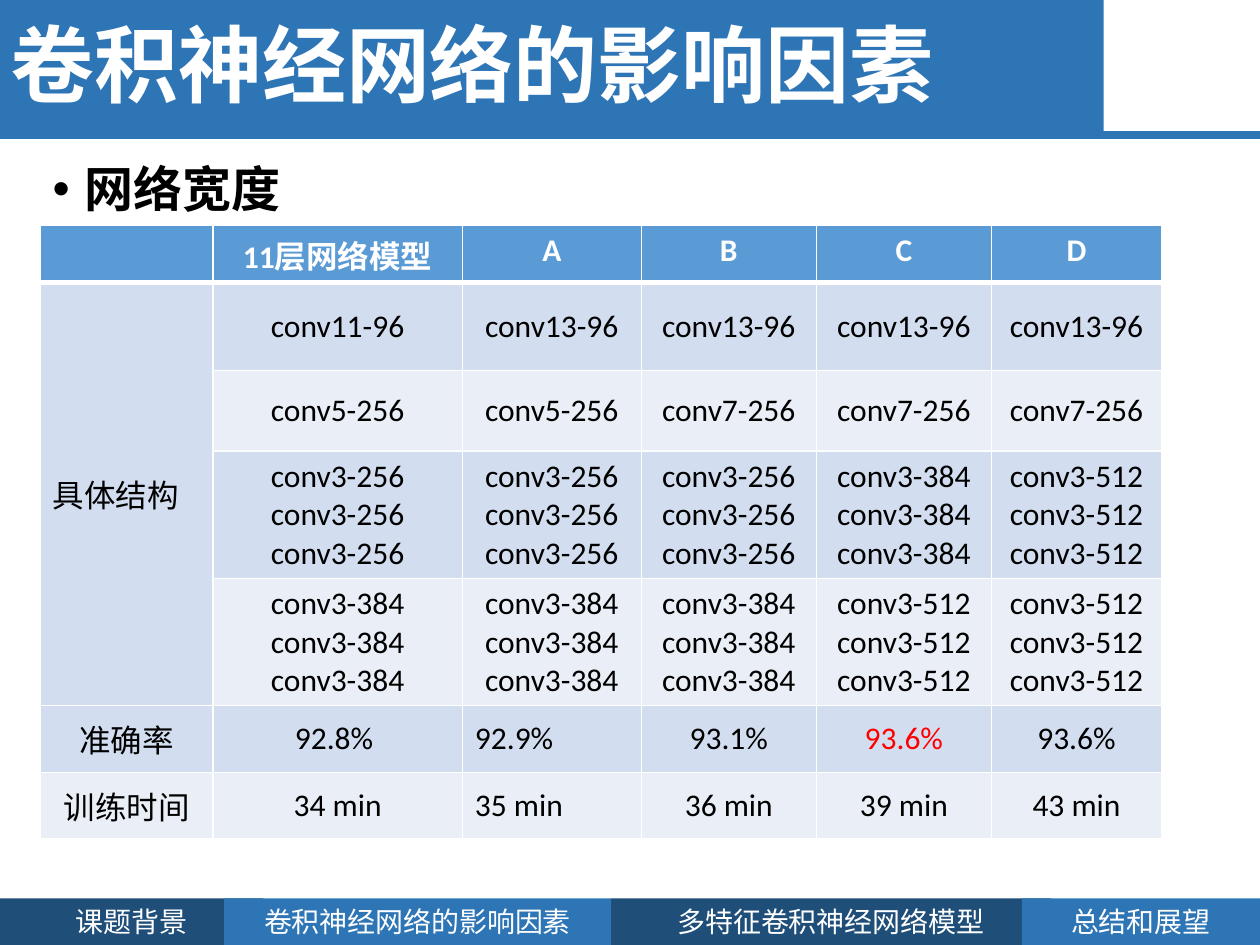
import pptx
import pptx.dml.color
import pptx.enum.shapes
import pptx.enum.text
import pptx.util
from lxml import etree
from pptx.oxml.ns import qn

COLORS = {
    "white": "FFFFFF",
    "black": "000000",
    "red": "FF0000",
    "blue": "2E75B6",
    "navy": "1F4E79",
    "header": "5B9BD5",
    "band": "D2DEEF",
    "pale": "EAEFF7",
}
ALIGN = pptx.enum.text.PP_ALIGN
ANCHOR = pptx.enum.text.MSO_ANCHOR
GRID_COLUMNS, GRID_ROWS = 100, 75


def color(name):
    return pptx.dml.color.RGBColor.from_string(COLORS[name])


class SlideBuilder:
    """Draws on a grid of 100 columns by 75 rows."""

    latin, serif = "Calibri", "Times New Roman"

    def __init__(self, deck):
        self.column = deck.slide_width / GRID_COLUMNS
        self.row = deck.slide_height / GRID_ROWS
        self.page = deck.slides.add_slide(deck.slide_layouts[5])
        self.shapes = self.page.shapes

    def place(self, left, top, width, height):
        return (round(left * self.column), round(top * self.row),
                round(width * self.column), round(height * self.row))

    def paint(self, shape, fill):
        shape.fill.solid()
        shape.fill.fore_color.rgb = color(fill)

    def add_span(self, para, text, size, ink, font, bold=False, align=None):
        para.alignment = align
        span = para.add_run()
        span.text = text
        span.font.size = pptx.util.Pt(size)
        span.font.name = font
        span.font.bold = bold
        span.font.color.rgb = color(ink)

    def title(self, text, area):
        box = self.shapes.title
        box.left, box.top, box.width, box.height = self.place(*area)
        self.paint(box, "blue")
        frame = box.text_frame
        frame.vertical_anchor = ANCHOR.MIDDLE
        frame.auto_size = pptx.enum.text.MSO_AUTO_SIZE.NONE
        frame.paragraphs[0].line_spacing = 0.9
        self.add_span(frame.paragraphs[0], text, 48, "white", self.serif, True, ALIGN.LEFT)

    def tab(self, text, area, fill):
        box = self.shapes.add_shape(pptx.enum.shapes.MSO_SHAPE.RECTANGLE, *self.place(*area))
        box.shadow.inherit = False
        self.paint(box, fill)
        box.line.fill.background()
        box.text_frame.word_wrap = True
        self.add_span(box.text_frame.paragraphs[0], text, 16, "white", self.serif,
                      align=ALIGN.CENTER)

    def rule(self, left, right, height):
        x, y, width, _ = self.place(left, height, right - left, 0)
        line = self.shapes.add_connector(
            pptx.enum.shapes.MSO_CONNECTOR.STRAIGHT, x, y, x + width, y)
        line.line.color.rgb = color("blue")
        line.line.width = pptx.util.Pt(4.5)
        etree.SubElement(line._element.spPr, qn("a:effectLst"))

    def bullet(self, text, area):
        frame = self.shapes.add_textbox(*self.place(*area)).text_frame
        frame.word_wrap = True
        para = frame.paragraphs[0]
        para.line_spacing = 0.9
        para.space_before = pptx.util.Pt(10)
        self.add_span(para, text, 28, "black", self.latin, True)
        properties = para._p.get_or_add_pPr()
        indent = pptx.util.Inches(0.25)
        properties.set("marL", str(indent))
        properties.set("indent", str(-indent))
        etree.SubElement(properties, qn("a:buFont"), typeface="Arial")
        etree.SubElement(properties, qn("a:buChar"), char="•")

    def table(self, rows, left, top, widths, heights):
        area = self.place(left, top, sum(widths), sum(heights))
        grid = self.shapes.add_table(len(rows), len(widths), *area).table
        for column, width in zip(grid.columns, widths):
            column.width = round(width * self.column)
        for row, height in zip(grid.rows, heights):
            row.height = round(height * self.row)
        for r, row in enumerate(rows):
            fill = "header" if r == 0 else ("pale", "band")[r % 2]
            for c, text in enumerate(row):
                self.cell(grid.cell(r, c), r, c, text, fill)
        return grid

    def cell(self, cell, r, c, text, fill):
        self.borders(cell, top=3 if r == 1 else 1, bottom=3 if r == 0 else 1)
        self.paint(cell, fill)
        cell.vertical_anchor = ANCHOR.MIDDLE if r else ANCHOR.TOP
        ink = "black" if r else "white"
        if (r, c) == BEST_CELL:
            ink = "red"
        align = ALIGN.LEFT if (r, c) in LEFT_CELLS else ALIGN.CENTER
        frame = cell.text_frame
        for number, line in enumerate(text.split("\n") if text else []):
            para = frame.add_paragraph() if number else frame.paragraphs[0]
            self.add_span(para, line, 18, ink, self.latin, r == 0, align)

    def borders(self, cell, top, bottom):
        properties = cell._tc.get_or_add_tcPr()
        for side, points in (("L", 1), ("R", 1), ("T", top), ("B", bottom)):
            line = etree.SubElement(properties, qn("a:ln" + side),
                                    w=str(pptx.util.Pt(points)))
            solid = etree.SubElement(line, qn("a:solidFill"))
            etree.SubElement(solid, qn("a:srgbClr"), val=COLORS["white"])


def triple(text):
    return "\n".join([text] * 3)


TOPIC = "卷积神经网络的影响因素"
ROWS = [
    ["", "11层网络模型", "A", "B", "C", "D"],
    ["具体结构", "conv11-96"] + ["conv13-96"] * 4,
    ["", "conv5-256", "conv5-256"] + ["conv7-256"] * 3,
    [""] + [triple("conv3-256")] * 3 + [triple("conv3-384"), triple("conv3-512")],
    [""] + [triple("conv3-384")] * 3 + [triple("conv3-512")] * 2,
    ["准确率", "92.8% ", "92.9%", "93.1%", "93.6%", "93.6%"],
    ["训练时间", "34 min", "35 min", "36 min", "39 min", "43 min"],
]
COLUMN_WIDTHS = [13.7, 19.8, 14.2, 13.9, 13.9, 13.5]
ROW_HEIGHTS = [4.5, 7, 6.4, 10.1, 10.1, 5.3, 5.3]
BEST_CELL = (5, 4)
LEFT_CELLS = {(1, 0), (5, 2), (6, 2)}
TABS = [
    ("多特征卷积神经网络模型", 48.5, 34.9, "navy"),
    ("课题背景", 0, 20.9, "navy"),
    (TOPIC, 17.8, 30.7, "blue"),
    ("总结和展望", 81.1, 18.9, "blue"),
]


def main():
    deck = pptx.Presentation()
    deck.slide_width = pptx.util.Inches(10)
    deck.slide_height = pptx.util.Inches(7.5)
    builder = SlideBuilder(deck)
    for text, left, width, fill in TABS:
        builder.tab(text, (left, 71.3, width, 3.7), fill)
    builder.rule(-0.2, GRID_COLUMNS, 10.7)
    builder.title(TOPIC, (-0.2, 0, 87.8, 11))
    builder.bullet("网络宽度", (3.2, 12.6, 93.1, 5.3))
    grid = builder.table(ROWS, 3.2, 17.9, COLUMN_WIDTHS, ROW_HEIGHTS)
    grid.cell(1, 0).merge(grid.cell(4, 0))
    deck.save("out.pptx")


if __name__ == "__main__":
    main()
